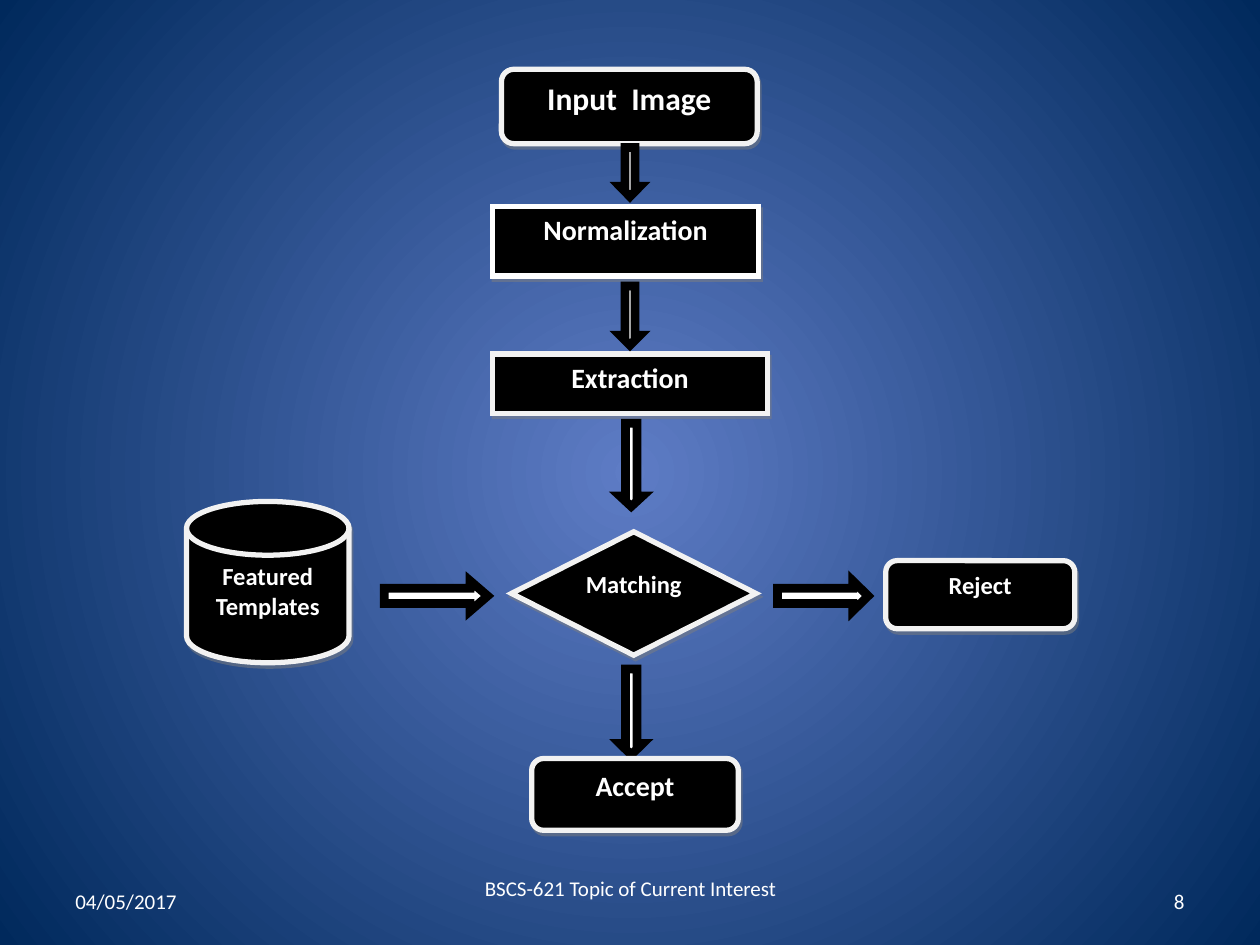
from lxml import etree
from pptx import Presentation
from pptx.dml.color import RGBColor
from pptx.enum.shapes import MSO_SHAPE
from pptx.enum.text import MSO_ANCHOR, PP_ALIGN
from pptx.oxml.ns import qn
from pptx.util import Inches, Pt

BLACK = RGBColor(0x00, 0x00, 0x00)
WHITE = RGBColor(0xFF, 0xFF, 0xFF)
PALE = RGBColor(0xF2, 0xF2, 0xF2)
GLOW = RGBColor(0x5E, 0x7C, 0xC5)
NAVY = RGBColor(0x00, 0x29, 0x5C)
SHADOW_HEX = "7F7F7F"

ROUNDED = MSO_SHAPE.FLOWCHART_ALTERNATE_PROCESS
RECTANGLE = MSO_SHAPE.RECTANGLE
DIAMOND = MSO_SHAPE.DIAMOND
DISK = MSO_SHAPE.FLOWCHART_MAGNETIC_DISK
DOWN = MSO_SHAPE.DOWN_ARROW
RIGHT_ARROW = MSO_SHAPE.RIGHT_ARROW
LEFT, CENTER, RIGHT = PP_ALIGN.LEFT, PP_ALIGN.CENTER, PP_ALIGN.RIGHT
TOP, MIDDLE = MSO_ANCHOR.TOP, MSO_ANCHOR.MIDDLE

# Kind, label, text size, outline, (left, top, width, height)
STEPS = [
    (ROUNDED, "Input  Image", 18, PALE, (3.98, 0.55, 2.03, 0.59)),
    (RECTANGLE, "Normalization", 16, WHITE, (3.91, 1.64, 2.11, 0.55)),
    (RECTANGLE, "Extraction", 16, PALE, (3.91, 2.81, 2.18, 0.47)),
    (DIAMOND, "Matching", 14, PALE, (4.06, 4.22, 1.94, 0.98)),
    (DISK, "Featured Templates", 14, PALE, (1.48, 3.98, 1.29, 1.28)),
]
OUTCOMES = [
    (ROUNDED, "Accept", 16, PALE, (4.22, 6.02, 1.64, 0.57)),
    (ROUNDED, "Reject", 14, PALE, (7.03, 4.45, 1.5, 0.54)),
]
# Kind, head length ratio, (left, top, width, height)
ARROWS = [
    (DOWN, 0.51, (4.92, 1.17, 0.16, 0.39)),
    (DOWN, 0.5, (4.92, 2.27, 0.16, 0.47)),
    (DOWN, 0.46, (4.92, 3.36, 0.18, 0.66)),
    (DOWN, 0.49, (4.92, 5.31, 0.18, 0.68)),
    (RIGHT_ARROW, 0.58, (3.05, 4.61, 0.82, 0.24)),
    (RIGHT_ARROW, 0.51, (6.17, 4.61, 0.72, 0.24)),
]
# Text, alignment, left, width, bottom inset
FOOTERS = [
    ("04/05/2017", LEFT, 0.5, 2.33, 0.05),
    ("BSCS-621 Topic of Current Interest", CENTER, 3.42, 3.17, 0.25),
    ("8", RIGHT, 7.17, 2.33, 0.05),
]


def paint_background(slide):
    """Radial gradient, bright in the middle."""
    fill = slide.background.fill
    fill.gradient()
    for stop, color in zip(fill.gradient_stops, (GLOW, NAVY)):
        stop.color.rgb = color
    gradient = slide.element.find(".//" + qn("a:gradFill"))
    linear = gradient.find(qn("a:lin"))
    if linear is not None:
        gradient.remove(linear)
    circle = etree.SubElement(gradient, qn("a:path"), path="circle")
    etree.SubElement(circle, qn("a:fillToRect"),
                     l="50000", t="50000", r="50000", b="50000")


def add_outlined(slide, kind, box, fill, outline, width):
    shape = slide.shapes.add_shape(kind, *map(Inches, box))
    shape.shadow.inherit = False
    shape.fill.solid()
    shape.fill.fore_color.rgb = fill
    shape.line.color.rgb = outline
    shape.line.width = Pt(width)
    line = shape.element.spPr.find(qn("a:ln"))
    etree.SubElement(line, qn("a:miter"), lim="800000")
    return shape


def add_drop_shadow(shape):
    effects = shape.element.spPr.find(qn("a:effectLst"))
    shadow = etree.SubElement(effects, qn("a:outerShdw"), dist=str(Pt(2.2)),
                              dir="3780000", algn="ctr", rotWithShape="0")
    color = etree.SubElement(shadow, qn("a:srgbClr"), val=SHADOW_HEX)
    etree.SubElement(color, qn("a:alpha"), val="50000")


def write(frame, text, size, align, anchor, bold=False):
    frame.word_wrap = True
    frame.vertical_anchor = anchor
    paragraph = frame.paragraphs[0]
    paragraph.text = text
    paragraph.alignment = align
    font = paragraph.font
    font.name = "Calibri"
    font.size = Pt(size)
    font.bold = bold
    font.color.rgb = WHITE


def add_node(slide, kind, label, size, outline, box):
    node = add_outlined(slide, kind, box, BLACK, outline, 3)
    add_drop_shadow(node)
    write(node.text_frame, label, size, CENTER, TOP, bold=True)


def add_arrow(slide, kind, head, box):
    arrow = add_outlined(slide, kind, box, WHITE, BLACK, 5)
    arrow.adjustments[0] = 0.5
    arrow.adjustments[1] = head


def add_footer(slide, text, align, left, width, bottom_inset):
    footer = slide.shapes.add_textbox(
        Inches(left), Inches(6.95), Inches(width), Inches(0.4))
    footer.text_frame.margin_bottom = Inches(bottom_inset)
    write(footer.text_frame, text, 12, align, MIDDLE)


def main():
    deck = Presentation()
    deck.slide_width, deck.slide_height = Inches(10), Inches(7.5)
    slide = deck.slides.add_slide(deck.slide_layouts[6])
    paint_background(slide)

    for footer in FOOTERS:
        add_footer(slide, *footer)

    # Arrows lie over the steps and under the outcomes
    for step in STEPS:
        add_node(slide, *step)
    for arrow in ARROWS:
        add_arrow(slide, *arrow)
    for outcome in OUTCOMES:
        add_node(slide, *outcome)

    deck.save("out.pptx")


if __name__ == "__main__":
    main()
